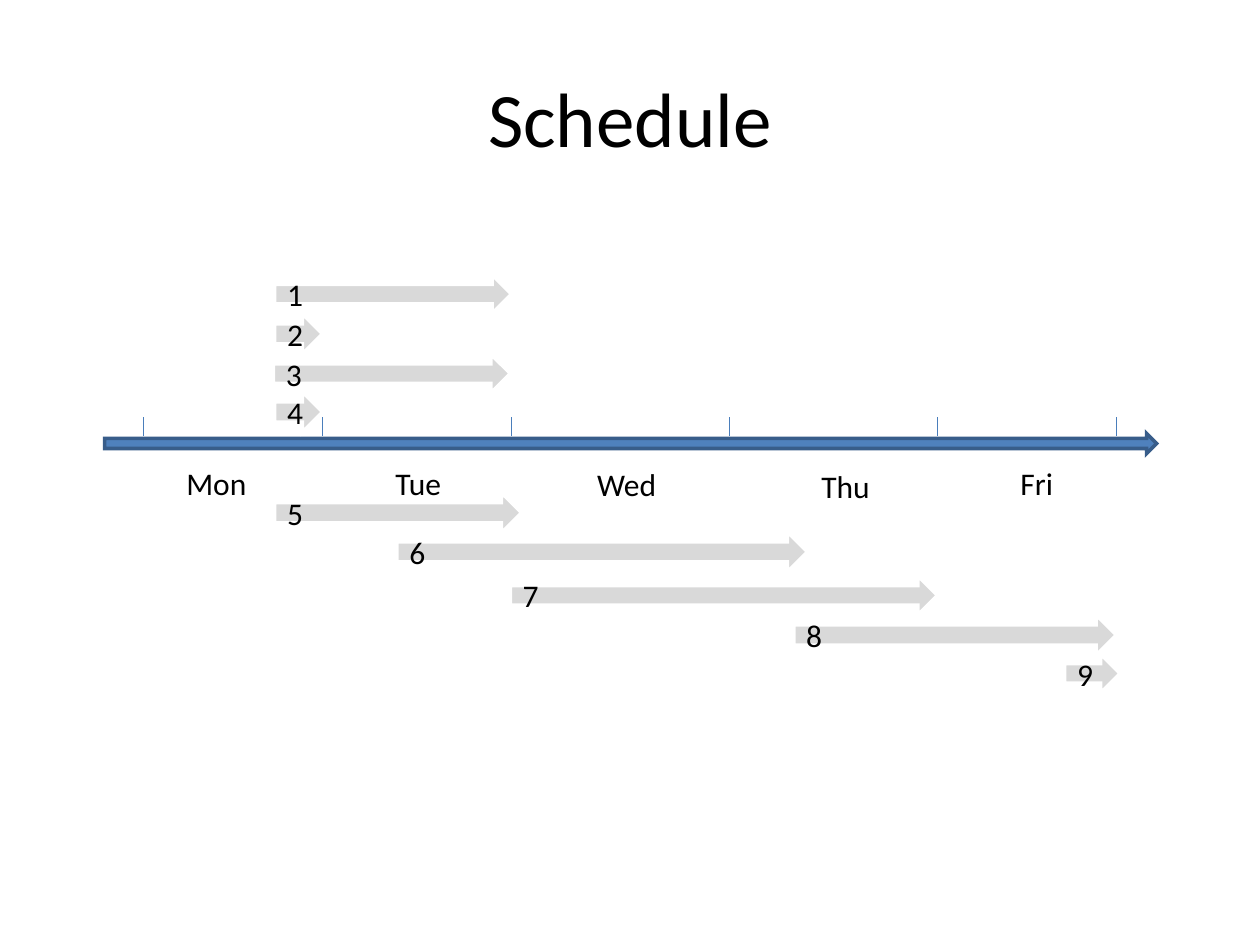
"""Build a weekly schedule slide with a day axis and numbered task arrows."""
from dataclasses import dataclass

from lxml import etree
from pptx import Presentation
from pptx.dml.color import RGBColor
from pptx.enum.shapes import MSO_CONNECTOR, MSO_SHAPE
from pptx.enum.text import MSO_ANCHOR, MSO_AUTO_SIZE, PP_ALIGN
from pptx.oxml.ns import qn
from pptx.util import Inches, Pt

ARROW = MSO_SHAPE.RIGHT_ARROW
LINE = MSO_CONNECTOR.STRAIGHT
MIDDLE = MSO_ANCHOR.MIDDLE
GROW = MSO_AUTO_SIZE.SHAPE_TO_FIT_TEXT
LEFT, CENTER = PP_ALIGN.LEFT, PP_ALIGN.CENTER
BOX = {"left": 0.5, "top": 0.3, "width": 9, "height": 1.25}
FRAME = {"word_wrap": False, "auto_size": GROW}
TICKS = (1.14, 2.56, 4.06, 5.79, 7.44, 8.86)


@dataclass
class Day:
    """A day name and its place below the axis."""
    name: str
    left: float
    top: float
    width: float


@dataclass
class Task:
    """A task arrow with its start, row and size."""
    left: float
    top: float
    width: float
    height: float = 0.32


DAYS = (
    Day("Mon", 1.38, 3.63, 0.69),
    Day("Tue", 3.04, 3.63, 0.59),
    Day("Wed", 4.64, 3.64, 0.69),
    Day("Thu", 6.42, 3.66, 0.6),
    Day("Fri", 8, 3.63, 0.47),
)
TASKS = (
    Task(2.18, 2.18, 1.88, 0.31),
    Task(2.18, 2.49, 0.38),
    Task(2.17, 2.81, 1.88, 0.31),
    Task(2.18, 3.11, 0.38),
    Task(2.18, 3.91, 1.96),
    Task(3.15, 4.22, 3.26),
    Task(4.05, 4.57, 3.39, 0.31),
    Task(6.3, 4.88, 2.56),
    Task(8.45, 5.19, 0.44, 0.31),
)


def paint(target, color: str) -> None:
    """Set a colour format to a hex colour."""
    target.rgb = RGBColor.from_string(color)


def write(frame, text: str, size: int = 18, align=LEFT) -> None:
    """Put one styled line of text in a frame."""
    line = frame.paragraphs[0]
    line.alignment = align
    run = line.add_run()
    run.text = text
    for key, value in {"name": "Calibri", "size": Pt(size)}.items():
        setattr(run.font, key, value)
    paint(run.font.color, "000000")


def add_arrow(slide, left: float, top: float, width: float, height: float,
              fill: str, edge: str):
    """Draw a filled right arrow with sharp corners and return it."""
    shape = slide.shapes.add_shape(
        ARROW, Inches(left), Inches(top), Inches(width), Inches(height))
    shape.shadow.inherit = False
    shape.fill.solid()
    paint(shape.fill.fore_color, fill)
    paint(shape.line.color, edge)
    shape.line.width = Pt(2)
    outline = shape._element.spPr.find(qn("a:ln"))
    etree.SubElement(outline, qn("a:miter"), lim="800000")
    return shape


def add_tick(slide, x: float) -> None:
    """Draw a day border above the axis."""
    tick = slide.shapes.add_connector(
        LINE, Inches(x), Inches(3.46), Inches(x), Inches(3.31))
    paint(tick.line.color, "4A7EBB")
    tick.line.width = Pt(0.75)
    etree.SubElement(tick._element.spPr, qn("a:effectLst"))


def add_day(slide, day: Day) -> None:
    """Write a day name below the axis."""
    box = slide.shapes.add_textbox(
        Inches(day.left), Inches(day.top), Inches(day.width), Inches(0.4))
    for key, value in FRAME.items():
        setattr(box.text_frame, key, value)
    write(box.text_frame, day.name)


def add_task(slide, task: Task, label: str) -> None:
    """Draw a task arrow with its number."""
    shape = add_arrow(slide, task.left, task.top, task.width, task.height,
                      "D9D9D9", "FFFFFF")
    shape.text_frame.vertical_anchor = MIDDLE
    write(shape.text_frame, label)


def main() -> None:
    """Build and save the deck."""
    deck = Presentation()
    deck.slide_width, deck.slide_height = Inches(10), Inches(7.5)
    slide = deck.slides.add_slide(deck.slide_layouts[5])
    title = slide.shapes.title
    for key, value in BOX.items():
        setattr(title, key, Inches(value))
    title.text_frame.vertical_anchor = MIDDLE
    write(title.text_frame, "Schedule", 44, CENTER)
    add_arrow(slide, 0.83, 3.44, 8.35, 0.16, "4F81BD", "385D8A")
    for x in TICKS:
        add_tick(slide, x)
    for day in DAYS:
        add_day(slide, day)
    for label, task in enumerate(TASKS, 1):
        add_task(slide, task, str(label))
    deck.save("out.pptx")


if __name__ == "__main__":
    main()
